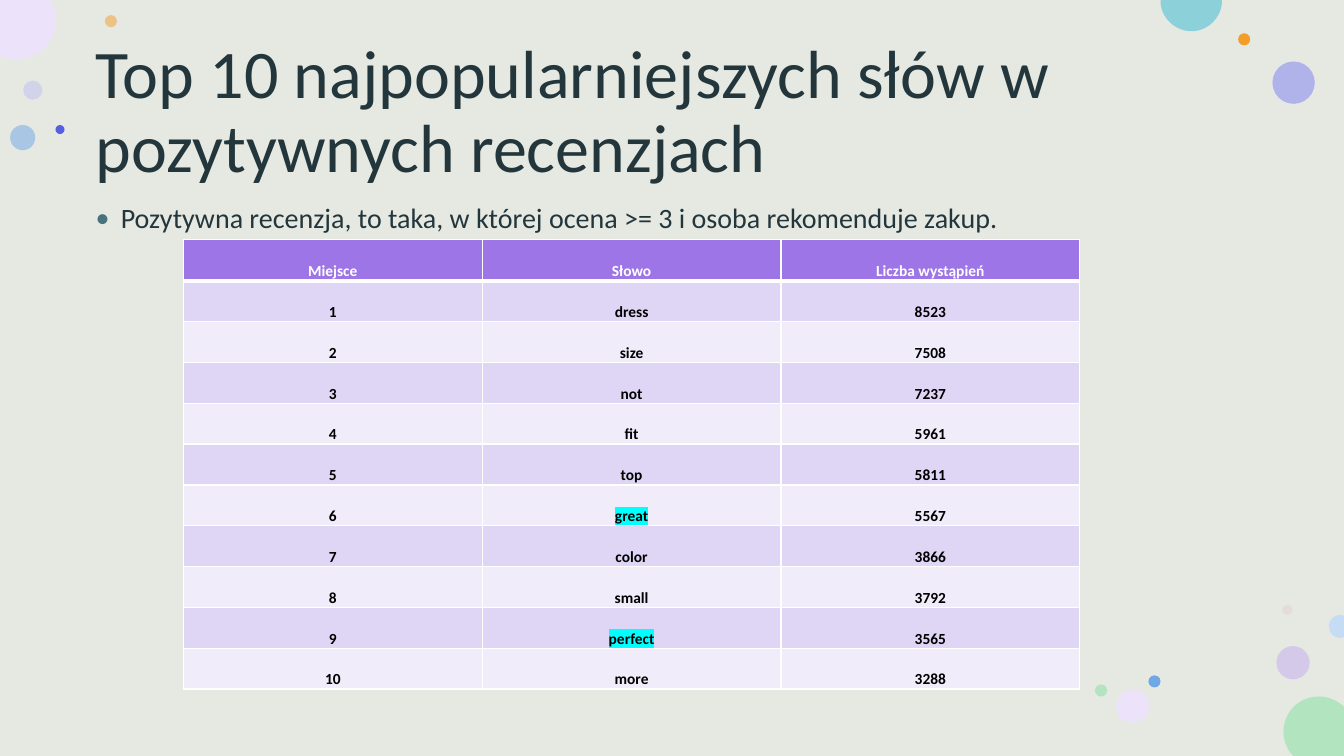
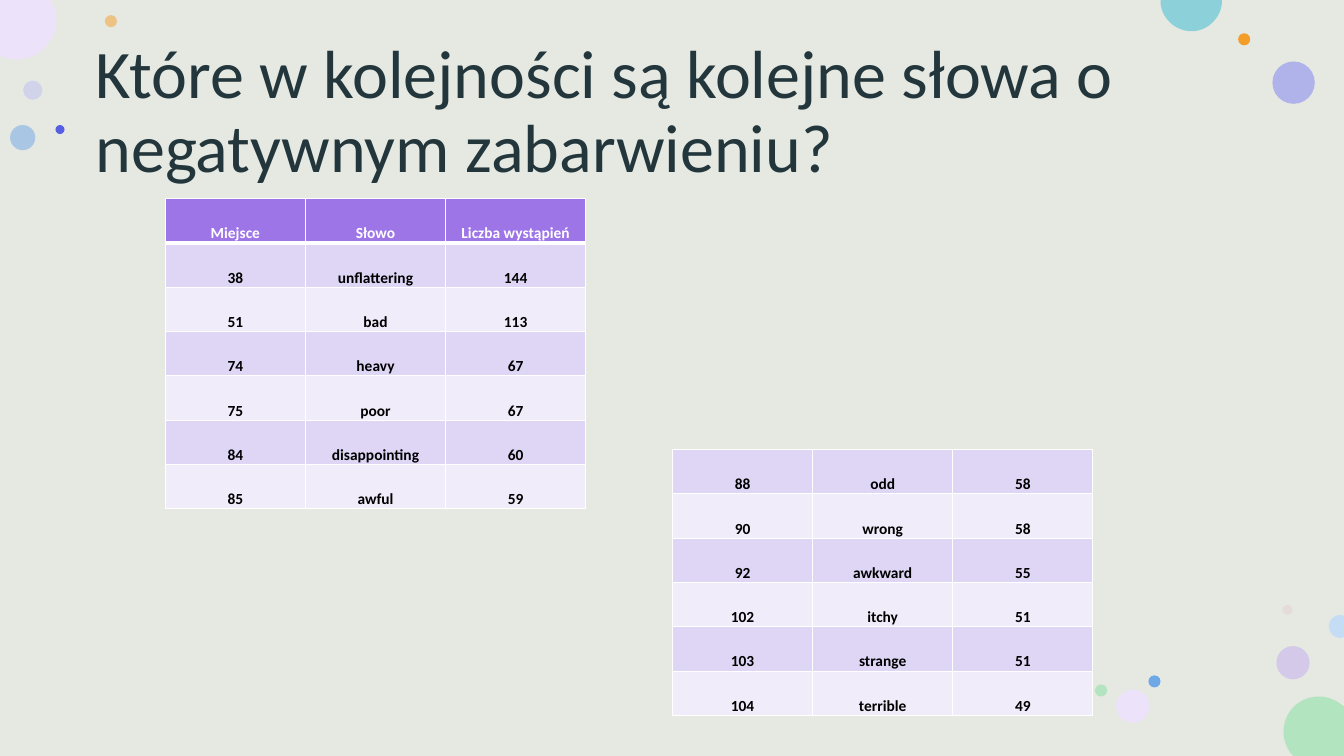
import lxml.etree
import pptx
import pptx.dml.color
import pptx.enum.shapes
import pptx.enum.text
import pptx.oxml.ns
import pptx.util

Inches = pptx.util.Inches
Pt = pptx.util.Pt
RGBColor = pptx.dml.color.RGBColor
SHAPE = pptx.enum.shapes.MSO_SHAPE
ALIGN = pptx.enum.text.PP_ALIGN
ANCHOR = pptx.enum.text.MSO_ANCHOR
qn = pptx.oxml.ns.qn

WIDTH, HEIGHT = 13.33, 7.5
FONT = "Calibri"
BACKGROUND = RGBColor(0xE6, 0xE8, 0xE2)
INK = RGBColor(0x22, 0x36, 0x3C)
BULLET = RGBColor(0x48, 0x72, 0x7E)
WHITE = RGBColor(0xFF, 0xFF, 0xFF)
BLACK = RGBColor(0x00, 0x00, 0x00)
CYAN = RGBColor(0x00, 0xFF, 0xFF)
HEADER_FILL = RGBColor(0x9E, 0x75, 0xE7)
BAND_FILLS = [RGBColor(0xDF, 0xD6, 0xF6), RGBColor(0xF0, 0xEC, 0xFA)]
ORANGE = RGBColor(0xF3, 0x9E, 0x29)
BLUE = RGBColor(0x6E, 0xA8, 0xE6)
PALE_BLUE = RGBColor(0xC5, 0xDC, 0xF5)
INDIGO = RGBColor(0x56, 0x5F, 0xE2)
PERIWINKLE = RGBColor(0x9A, 0x9F, 0xEE)
PALE_PERIWINKLE = RGBColor(0xBB, 0xBF, 0xF3)
VIOLET = RGBColor(0xC5, 0xAC, 0xF1)
LILAC = RGBColor(0xEC, 0xE3, 0xFA)
PINK = RGBColor(0xE3, 0xBE, 0xBE)
GREEN = RGBColor(0xB2, 0xE4, 0xC0)
TEAL = RGBColor(0x8C, 0xD1, 0xD9)

BUBBLES = [
    (0.23, 0.8, 0.19, PALE_PERIWINKLE, 50),
    (1.04, 0.15, 0.12, ORANGE, 50),
    (12.66, 6.41, 0.33, VIOLET, 50),
    (0.1, 1.24, 0.25, BLUE, 50),
    (12.62, 0.61, 0.42, PERIWINKLE, 72),
    (12.28, 0.33, 0.12, ORANGE, 100),
    (12.72, 6, 0.1, PINK, 28),
    (11.39, 6.7, 0.12, BLUE, 100),
    (11.07, 6.84, 0.33, LILAC, 100),
    (10.86, 6.79, 0.12, GREEN, 100),
    (0.55, 1.24, 0.09, INDIGO, 100),
]
CUT_BUBBLES = [
    (GREEN, [
        (13.08, 6.91), (13.18, 6.91, 13.26, 6.95, 13.33, 7.01), (13.33, 7.5), (12.83, 7.5),
        (12.81, 7.48), (12.76, 7.42, 12.73, 7.34, 12.73, 7.26),
        (12.73, 7.06, 12.89, 6.91, 13.08, 6.91)]),
    (LILAC, [
        (0, 0), (0.5, 0), (0.53, 0.05), (0.55, 0.09, 0.56, 0.14, 0.56, 0.2),
        (0.56, 0.41, 0.38, 0.59, 0.17, 0.59), (0.11, 0.59, 0.06, 0.58, 0.02, 0.56), (0, 0.55)]),
    (TEAL, [
        (11.52, 0), (12.12, 0), (12.12, 0.01), (12.12, 0.17, 11.98, 0.31, 11.82, 0.31),
        (11.65, 0.31, 11.51, 0.17, 11.51, 0.01)]),
    (PALE_BLUE, [
        (13.29, 6.1), (13.33, 6.11), (13.33, 6.32), (13.29, 6.33),
        (13.23, 6.33, 13.18, 6.28, 13.18, 6.21), (13.18, 6.15, 13.23, 6.1, 13.29, 6.1)]),
]

HEADER = ("Miejsce", "Słowo", "Liczba wystąpień")
HIGHLIGHTED = {"great", "perfect"}
POSITIVE_COUNTS = {
    "dress": 8523, "size": 7508, "not": 7237, "fit": 5961, "top": 5811,
    "great": 5567, "color": 3866, "small": 3792, "perfect": 3565, "more": 3288,
}
POSITIVE = [(place, word, count) for place, (word, count) in enumerate(POSITIVE_COUNTS.items(), 1)]
NEGATIVE = [
    (38, "unflattering", 144), (51, "bad", 113), (74, "heavy", 67),
    (75, "poor", 67), (84, "disappointing", 60), (85, "awful", 59),
    (88, "odd", 58), (90, "wrong", 58), (92, "awkward", 55),
    (102, "itchy", 51), (103, "strange", 51), (104, "terrible", 49),
]

SLIDES = [
    {
        "title": "Top 10 najpopularniejszych słów w pozytywnych recenzjach",
        "note": "Pozytywna recenzja, to taka, w której ocena >= 3 i osoba rekomenduje zakup.",
        "tables": [(1.82, 2.38, 8.89, 4.46, [HEADER] + POSITIVE)],
    },
    {
        "title": "Które w kolejności są kolejne słowa o negatywnym zabarwieniu?",
        "note": None,
        "tables": [
            (1.64, 1.97, 4.17, 3.08, [HEADER] + NEGATIVE[:6]),
            (6.67, 4.46, 4.17, 2.64, NEGATIVE[6:]),
        ],
    },
]


def write_text(frame, text, size, color=INK, bold=False, align=ALIGN.LEFT,
               line_spacing=None, space_before=0, bullet=False, highlight=None):
    frame.word_wrap = True
    para = frame.paragraphs[0]
    para.alignment = align
    para.line_spacing = line_spacing
    para.space_before = Pt(space_before)
    span = para.add_run()
    span.text = text
    span.font.size = Pt(size)
    span.font.name = FONT
    span.font.bold = bold
    span.font.color.rgb = color
    if bullet:
        settings = para._p.get_or_add_pPr()
        settings.set("marL", str(Inches(0.25)))
        settings.set("indent", str(Inches(-0.25)))
        bullet_color = lxml.etree.SubElement(settings, qn("a:buClr"))
        lxml.etree.SubElement(bullet_color, qn("a:srgbClr"), val=str(BULLET))
        lxml.etree.SubElement(settings, qn("a:buFont"), typeface=FONT)
        lxml.etree.SubElement(settings, qn("a:buChar"), char="•")
    if highlight:
        marker = lxml.etree.Element(qn("a:highlight"))
        lxml.etree.SubElement(marker, qn("a:srgbClr"), val=str(highlight))
        span.font._element.find(qn("a:solidFill")).addnext(marker)


def paint_shape(shape, color, opacity=100):
    shape.shadow.inherit = False
    shape.line.fill.background()
    shape.fill.solid()
    shape.fill.fore_color.rgb = color
    if opacity < 100:
        paint = shape._element.spPr.find(qn("a:solidFill")).find(qn("a:srgbClr"))
        lxml.etree.SubElement(paint, qn("a:alpha"), val=str(opacity * 1000))


deck = pptx.Presentation()
deck.slide_width = Inches(WIDTH)
deck.slide_height = Inches(HEIGHT)

for content in SLIDES:
    page = deck.slides.add_slide(deck.slide_layouts[6])
    backdrop = page.shapes.add_shape(SHAPE.RECTANGLE, 0, 0, deck.slide_width, deck.slide_height)
    paint_shape(backdrop, BACKGROUND)

    for left, top, size, color, opacity in BUBBLES:
        bubble = page.shapes.add_shape(
            SHAPE.OVAL, Inches(left), Inches(top), Inches(size), Inches(size))
        paint_shape(bubble, color, opacity)

    for color, segments in CUT_BUBBLES:
        ends = [(Inches(segment[-2]), Inches(segment[-1])) for segment in segments]
        builder = page.shapes.build_freeform(*ends[0])
        builder.add_line_segments(ends[1:], close=True)
        bubble = builder.convert_to_shape()
        paint_shape(bubble, color)
        steps = list(bubble._element.iter(qn("a:lnTo")))
        for step, segment in zip(steps, segments[1:]):
            if len(segment) == 6:
                step.tag = qn("a:cubicBezTo")
                for index in (0, 1):
                    x, y = segment[2 * index:2 * index + 2]
                    control = lxml.etree.Element(
                        qn("a:pt"), x=str(Inches(x) - bubble.left), y=str(Inches(y) - bubble.top))
                    step.insert(index, control)

    title_box = page.shapes.add_textbox(Inches(0.85), Inches(0.4), Inches(11.66), Inches(1.45))
    title_box.text_frame.vertical_anchor = ANCHOR.MIDDLE
    write_text(title_box.text_frame, content["title"], size=48.6, line_spacing=0.9)

    if content["note"]:
        note_box = page.shapes.add_textbox(Inches(0.85), Inches(1.98), Inches(11.66), Inches(4.76))
        write_text(note_box.text_frame, content["note"], size=20, line_spacing=0.9,
                   space_before=10, bullet=True)

    for left, top, width, height, rows in content["tables"]:
        has_header = rows[0] == HEADER
        table = page.shapes.add_table(
            len(rows), len(HEADER), Inches(left), Inches(top), Inches(width), Inches(height)).table
        table.first_row = has_header
        table.horz_banding = False
        for row_index, row in enumerate(rows):
            is_header = has_header and row_index == 0
            below_header = has_header and row_index == 1
            borders = {"L": 1, "R": 1, "T": 3 if below_header else 1, "B": 3 if is_header else 1}
            for column_index, value in enumerate(row):
                cell = table.cell(row_index, column_index)
                cell.margin_left = cell.margin_right = cell.margin_top = Inches(0.01)
                cell.margin_bottom = 0
                cell.vertical_anchor = ANCHOR.BOTTOM
                write_text(cell.text_frame, str(value), size=11, bold=True, align=ALIGN.CENTER,
                           color=WHITE if is_header else BLACK,
                           highlight=CYAN if value in HIGHLIGHTED else None)
                for side, points in borders.items():
                    border = lxml.etree.SubElement(
                        cell._tc.get_or_add_tcPr(), qn("a:ln" + side), w=str(Pt(points)))
                    paint = lxml.etree.SubElement(border, qn("a:solidFill"))
                    lxml.etree.SubElement(paint, qn("a:srgbClr"), val=str(WHITE))
                cell.fill.solid()
                cell.fill.fore_color.rgb = (
                    HEADER_FILL if is_header else BAND_FILLS[(row_index - has_header) % 2])

deck.save("out.pptx")
